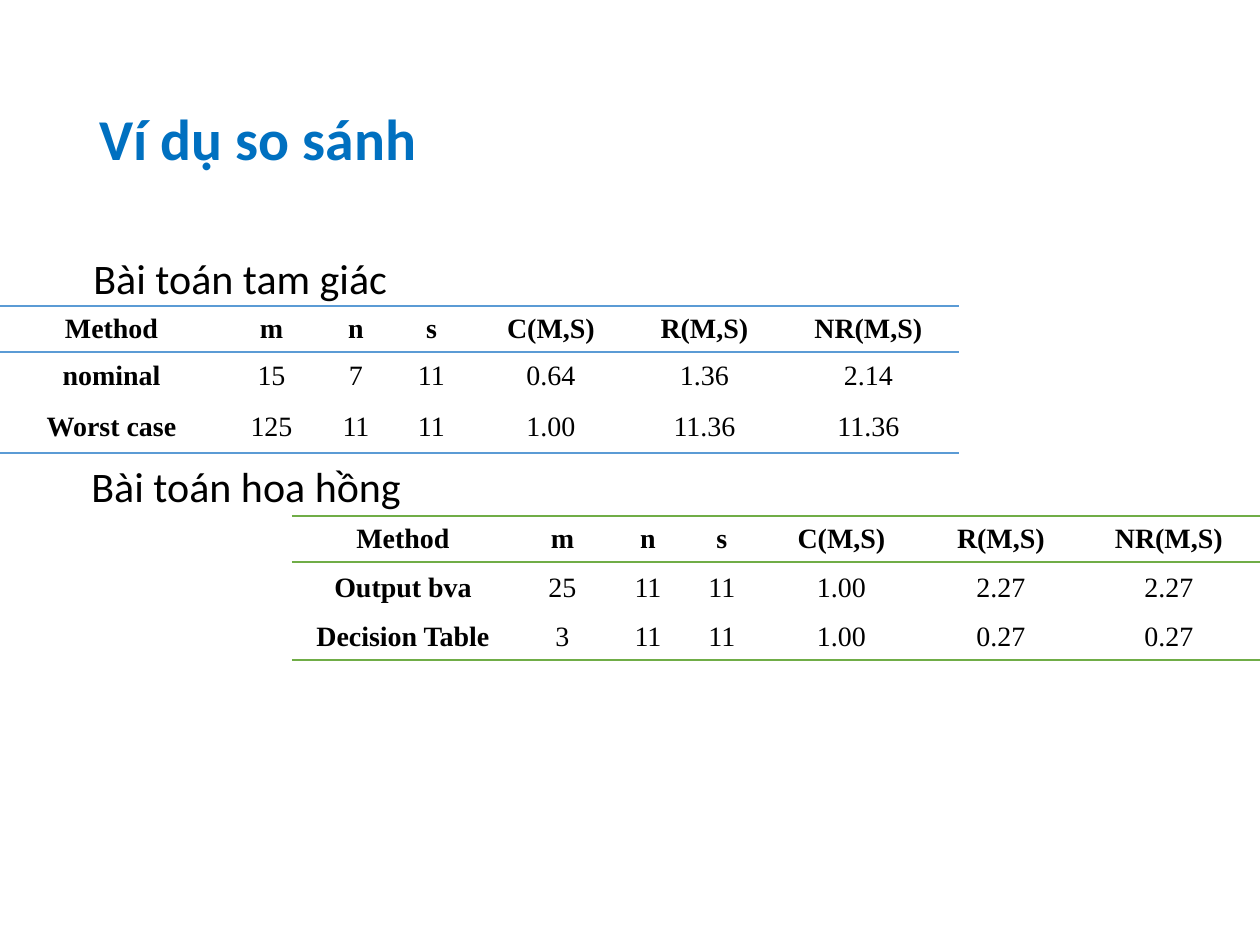
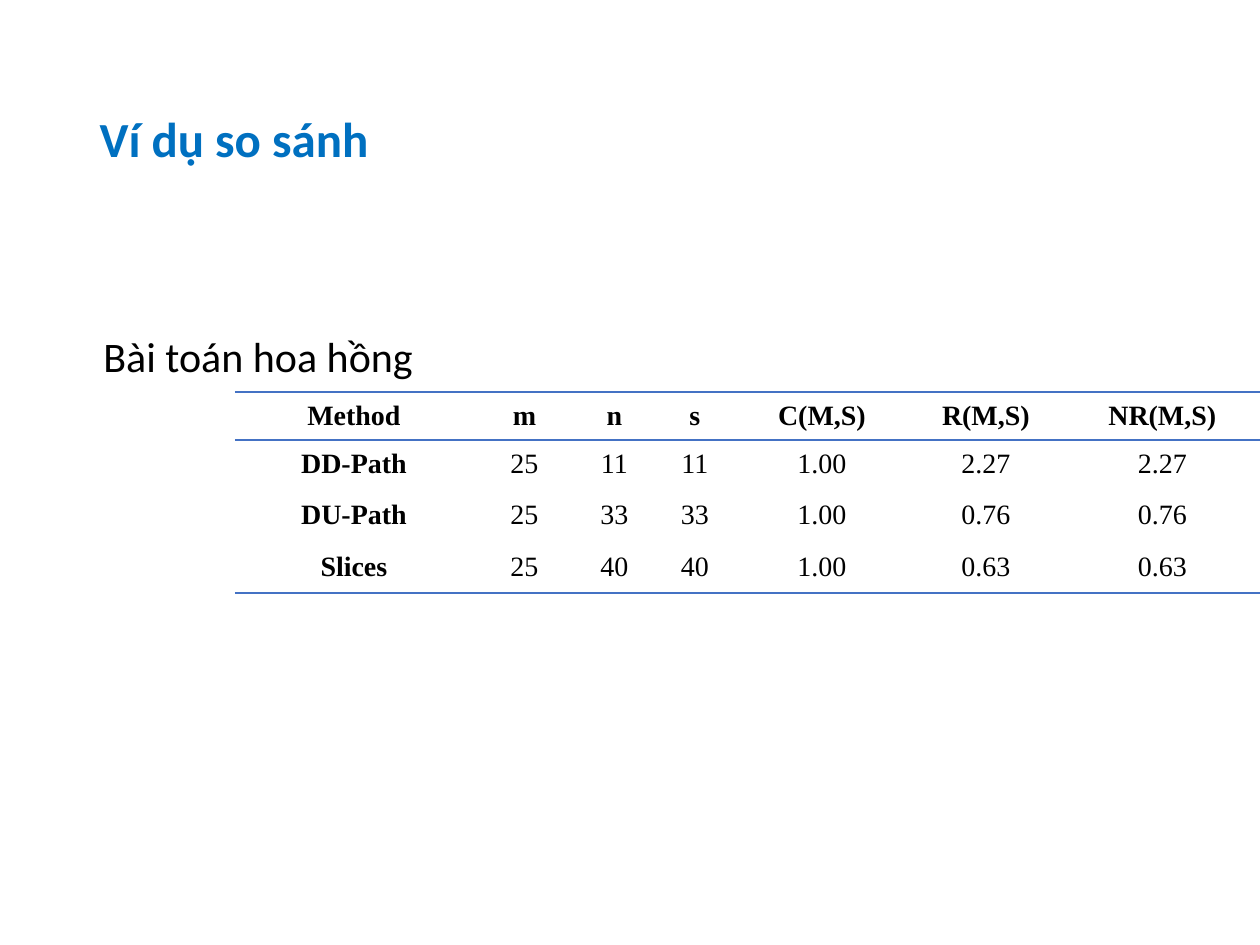
import lxml.etree
import pptx
import pptx.dml.color
import pptx.enum.text
import pptx.oxml
import pptx.oxml.ns
import pptx.util

PIXEL = 914400 // 126
TITLE_BLUE = pptx.dml.color.RGBColor(0x00, 0x70, 0xC0)
BLACK = pptx.dml.color.RGBColor(0x00, 0x00, 0x00)
SKY_BLUE = pptx.dml.color.RGBColor(0x5B, 0x9B, 0xD5)
GREEN = pptx.dml.color.RGBColor(0x70, 0xAD, 0x47)
ROYAL_BLUE = pptx.dml.color.RGBColor(0x44, 0x72, 0xC4)

HEADER = ["Method", "m", "n", "s", "C(M,S)", "R(M,S)", "NR(M,S)"]
TITLE_BOX = (87, 50, 1086, 183)


def scale(*pixels):
    return [pptx.util.Emu(length * PIXEL) for length in pixels]


def format_text(paragraph, font_name, size, color, bold=False):
    for run in paragraph.runs:
        run.font.name = font_name
        run.font.size = pptx.util.Pt(size)
        run.font.bold = bold
        run.font.color.rgb = color


def add_title(slide, box, text, size):
    title = slide.shapes.title
    title.left, title.top, title.width, title.height = scale(*box)
    frame = title.text_frame
    frame.text = text
    frame.vertical_anchor = pptx.enum.text.MSO_ANCHOR.MIDDLE
    paragraph = frame.paragraphs[0]
    paragraph.alignment = pptx.enum.text.PP_ALIGN.LEFT
    paragraph.line_spacing = 0.9
    format_text(paragraph, "Calibri", size, TITLE_BLUE, True)


def add_caption(slide, box, text):
    caption = slide.shapes.add_textbox(*scale(*box))
    frame = caption.text_frame
    frame.word_wrap = False
    frame.auto_size = pptx.enum.text.MSO_AUTO_SIZE.SHAPE_TO_FIT_TEXT
    frame.text = text
    format_text(frame.paragraphs[0], "Calibri", 24, BLACK)


def set_borders(cell, color, ruled_sides):
    properties = cell._tc.get_or_add_tcPr()
    for position, side in enumerate("LRTB"):
        line = pptx.oxml.parse_xml(
            f'<a:ln{side} {pptx.oxml.ns.nsdecls("a")} w="12700"/>')
        if side in ruled_sides:
            fill = lxml.etree.SubElement(line, pptx.oxml.ns.qn("a:solidFill"))
            lxml.etree.SubElement(
                fill, pptx.oxml.ns.qn("a:srgbClr"), val=str(color))
        else:
            lxml.etree.SubElement(line, pptx.oxml.ns.qn("a:noFill"))
        properties.insert(position, line)


def set_space_before(paragraph, percent):
    properties = paragraph._p.get_or_add_pPr()
    spacing = lxml.etree.SubElement(properties, pptx.oxml.ns.qn("a:spcBef"))
    lxml.etree.SubElement(
        spacing, pptx.oxml.ns.qn("a:spcPct"), val=str(percent * 1000))


def add_method_table(slide, left, top, widths, heights, color, records):
    rows = [HEADER] + records
    frame = slide.shapes.add_table(
        len(rows), len(HEADER),
        *scale(left, top, sum(widths), sum(heights)))
    table = frame.table
    table.first_row = False
    table.horz_banding = False
    for column, width in zip(table.columns, scale(*widths)):
        column.width = width
    for row, height in zip(table.rows, scale(*heights)):
        row.height = height
    ruled_sides = {0: "TB", 1: "T", len(rows) - 1: "B"}
    for row_index, values in enumerate(rows):
        for column_index, value in enumerate(values):
            cell = table.cell(row_index, column_index)
            cell.text_frame.text = value
            cell.vertical_anchor = pptx.enum.text.MSO_ANCHOR.MIDDLE
            cell.fill.background()
            set_borders(cell, color, ruled_sides.get(row_index, ""))
            paragraph = cell.text_frame.paragraphs[0]
            paragraph.alignment = pptx.enum.text.PP_ALIGN.CENTER
            set_space_before(paragraph, 20)
            format_text(paragraph, "Times New Roman", 16, BLACK,
                        row_index == 0 or column_index == 0)


def add_comparison_slide(presentation, title_size):
    slide = presentation.slides.add_slide(presentation.slide_layouts[5])
    add_title(slide, TITLE_BOX, "Ví dụ so sánh", title_size)
    return slide


def build_boundary_slide(presentation):
    slide = add_comparison_slide(presentation, 33)
    add_method_table(
        slide, 0, 306, [223, 97, 72, 79, 160, 147, 181], [46, 49, 52],
        SKY_BLUE,
        [["nominal", "15", "7", "11", "0.64", "1.36", "2.14"],
         ["Worst case", "125", "11", "11", "1.00", "11.36", "11.36"]])
    add_method_table(
        slide, 292, 516, [222, 97, 74, 74, 165, 154, 182], [46, 52, 46],
        GREEN,
        [["Output bva", "25", "11", "11", "1.00", "2.27", "2.27"],
         ["Decision Table", "3", "11", "11", "1.00", "0.27", "0.27"]])
    add_caption(slide, (81, 246, 321, 64), "Bài toán tam giác")
    add_caption(slide, (79, 454, 338, 64), "Bài toán hoa hồng")


def build_path_slide(presentation):
    slide = add_comparison_slide(presentation, 28)
    add_method_table(
        slide, 235, 392, [238, 103, 77, 84, 170, 158, 195], [48, 49, 52, 52],
        ROYAL_BLUE,
        [["DD-Path", "25", "11", "11", "1.00", "2.27", "2.27"],
         ["DU-Path", "25", "33", "33", "1.00", "0.76", "0.76"],
         ["Slices", "25", "40", "40", "1.00", "0.63", "0.63"]])
    add_caption(slide, (91, 324, 338, 64), "Bài toán hoa hồng")


presentation = pptx.Presentation()
presentation.slide_width, presentation.slide_height = scale(1260, 945)
build_boundary_slide(presentation)
build_path_slide(presentation)
presentation.save("out.pptx")
